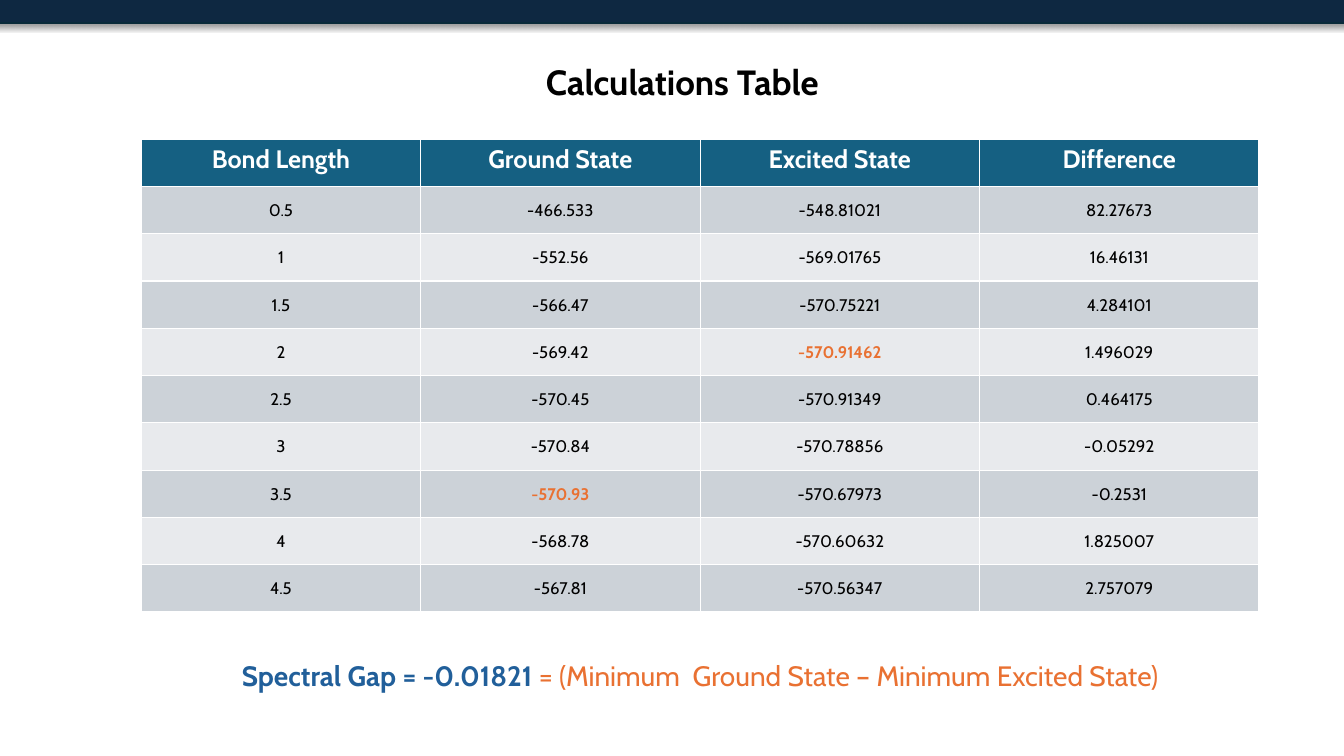
from lxml.etree import SubElement
from pptx import Presentation
from pptx.dml.color import RGBColor
from pptx.enum.shapes import MSO_SHAPE
from pptx.enum.text import MSO_ANCHOR, MSO_AUTO_SIZE, PP_ALIGN
from pptx.oxml.ns import qn
from pptx.util import Cm, Pt

NAVY, TEAL, BLUE, ORANGE = "0E2841", "156082", "215F9A", "E97132"
BLACK, WHITE = "000000", "FFFFFF"
STRIPES = ["CCD2D8", "E8EAED"]

HEADINGS = ["Bond Length", "Ground State", "Excited State", "Difference"]
CALCULATIONS = [
    ["0.5", "-466.533", "-548.81021", "82.27673"],
    ["1", "-552.56", "-569.01765", "16.46131"],
    ["1.5", "-566.47", "-570.75221", "4.284101"],
    ["2", "-569.42", "-570.91462", "1.496029"],
    ["2.5", "-570.45", "-570.91349", "0.464175"],
    ["3", "-570.84", "-570.78856", "-0.05292"],
    ["3.5", "-570.93", "-570.67973", "-0.2531"],
    ["4", "-568.78", "-570.60632", "1.825007"],
    ["4.5", "-567.81", "-570.56347", "2.757079"],
]


def rgb(hex_color):
    return RGBColor.from_string(hex_color)


def write_centred(frame, size, *parts):
    """Fill the first paragraph with (text, colour, bold) parts."""
    paragraph = frame.paragraphs[0]
    paragraph.alignment = PP_ALIGN.CENTER
    paragraph.font.name = "Cabin"
    paragraph.font.size = Pt(size)
    for text, color, bold in parts:
        run = paragraph.add_run()
        run.text = text
        run.font.color.rgb = rgb(color)
        run.font.bold = bold


deck = Presentation()
deck.slide_width, deck.slide_height = Cm(33.87), Cm(19.05)
slide = deck.slides.add_slide(deck.slide_layouts[6])
shapes = slide.shapes

# Top band with a soft shadow
band = shapes.add_shape(MSO_SHAPE.RECTANGLE, Cm(-0.25), Cm(-0.3), Cm(34.39), Cm(0.89))
band.fill.solid()
band.fill.fore_color.rgb = rgb(NAVY)
band.line.color.rgb = rgb("092A39")
band.line.width = Pt(1.5)
band.shadow.inherit = False
effects = band._element.spPr.find(qn("a:effectLst"))
shadow = SubElement(effects, qn("a:outerShdw"), blurRad=str(Pt(4)), dist=str(Pt(3)),
                    dir=str(45 * 60000), algn="tl", rotWithShape="0")
shadow_color = SubElement(shadow, qn("a:srgbClr"), val=BLACK)
SubElement(shadow_color, qn("a:alpha"), val="40000")

# Title and conclusion
captions = [
    ((8.66, 1.4, 17.07, 1.32), 25, [("Calculations Table", BLACK, True)]),
    ((3.56, 16.48, 28.17, 1.12), 20, [
        ("Spectral Gap = -0.01821 ", BLUE, True),
        ("= (Minimum  Ground State – Minimum Excited State)", ORANGE, False),
    ]),
]
for place, size, parts in captions:
    caption = shapes.add_textbox(*map(Cm, place)).text_frame
    caption.word_wrap = True
    caption.auto_size = MSO_AUTO_SIZE.SHAPE_TO_FIT_TEXT
    write_centred(caption, size, *parts)

# Table: the default style supplies the white rules
table = shapes.add_table(len(CALCULATIONS) + 1, len(HEADINGS),
                         Cm(3.56), Cm(3.51), Cm(28.17), Cm(11.91)).table
for column, heading in enumerate(HEADINGS):
    header = table.cell(0, column)
    header.fill.solid()
    header.fill.fore_color.rgb = rgb(TEAL)
    write_centred(header.text_frame, 18, (heading, WHITE, True))

    minimum = min((row[column] for row in CALCULATIONS), key=float)
    for index, row in enumerate(CALCULATIONS):
        value = table.cell(index + 1, column)
        value.fill.solid()
        value.fill.fore_color.rgb = rgb(STRIPES[index % 2])
        value.vertical_anchor = MSO_ANCHOR.MIDDLE
        value.margin_left = value.margin_top = value.margin_right = Cm(0.02)
        value.margin_bottom = 0
        is_lowest = heading.endswith("State") and row[column] == minimum
        write_centred(value.text_frame, 12,
                      (row[column], ORANGE if is_lowest else BLACK, is_lowest))

deck.save("out.pptx")
